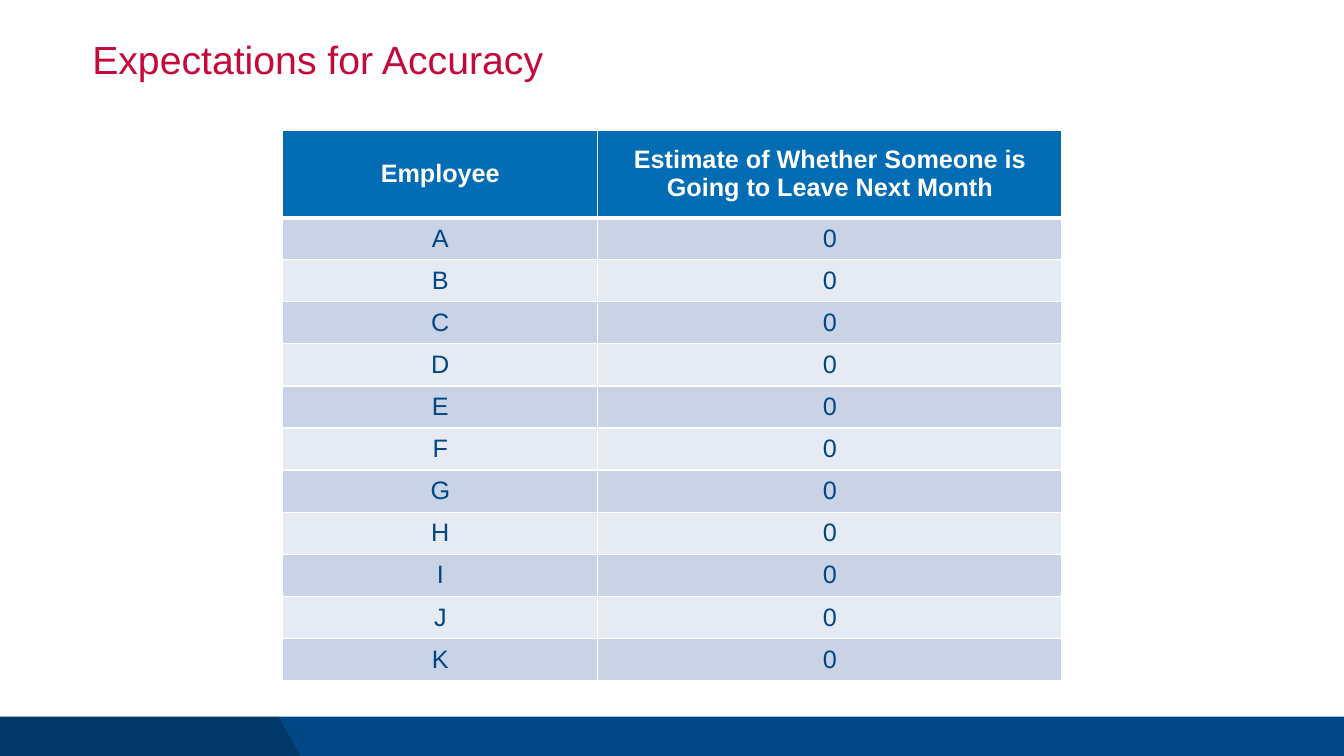
"""Build a slide with a table of monthly leaving estimates per employee."""
from lxml import etree
from pptx import Presentation
from pptx.dml.color import RGBColor
from pptx.enum.shapes import MSO_SHAPE
from pptx.enum.text import MSO_ANCHOR, PP_ALIGN
from pptx.oxml.ns import qn
from pptx.util import Cm, Pt

RECT = MSO_SHAPE.RECTANGLE
TOP, MIDDLE = MSO_ANCHOR.TOP, MSO_ANCHOR.MIDDLE
LEFT, CENTER = PP_ALIGN.LEFT, PP_ALIGN.CENTER
NAVY = RGBColor(0x00, 0x47, 0x85)
BLACK = RGBColor(0x00, 0x00, 0x00)
WHITE = RGBColor(0xFF, 0xFF, 0xFF)
RED = RGBColor(0xC5, 0x09, 0x3B)
BLUE = RGBColor(0x02, 0x6C, 0xB5)
DARK = RGBColor(0xCA, 0xD3, 0xE5)
LIGHT = RGBColor(0xE6, 0xEA, 0xF2)

TITLE = {"name": "Arial", "size": Pt(56), "bold": False}
HEAD = {"name": "Arial", "size": Pt(36), "bold": True}
BODY = {"name": "Arial", "size": Pt(36), "bold": False}
INSETS = {"margin_left": 0, "margin_top": 0, "margin_right": 0, "margin_bottom": 0}


def write(frame, text, style, color, align):
    par = frame.paragraphs[0]
    par.alignment = align
    run = par.add_run()
    run.text = text
    for key, value in style.items():
        setattr(run.font, key, value)
    run.font.color.rgb = color
    return par


def border(cell, side, width):
    props = cell._tc.get_or_add_tcPr()
    line = etree.SubElement(props, qn(f"a:ln{side}"), w=str(Pt(width)))
    fill = etree.SubElement(line, qn("a:solidFill"))
    etree.SubElement(fill, qn("a:srgbClr"), val=str(WHITE))


deck = Presentation()
deck.slide_width, deck.slide_height = Cm(67.73), Cm(38.1)
slide = deck.slides.add_slide(deck.slide_layouts[6])
shapes = slide.shapes

foot, base = Cm(36.12), Cm(38.25)
band = shapes.add_shape(RECT, 0, foot, deck.slide_width, base - foot)
pen = shapes.build_freeform(0, foot)
pen.add_line_segments([(Cm(14.02), foot), (Cm(15.24), base), (0, base)])
wedge = pen.convert_to_shape()
for shape, color in ((band, NAVY), (wedge, BLACK)):
    shape.shadow.inherit = False
    shape.fill.solid()
    shape.fill.fore_color.rgb = color
    shape.line.fill.background()
shade = wedge._element.spPr.find(qn("a:solidFill"))[0]
etree.SubElement(shade, qn("a:alpha"), val="20000")

title = shapes.add_textbox(Cm(4.65), Cm(2.03), Cm(58.42), Cm(2.67)).text_frame
for key, value in {**INSETS, "word_wrap": True, "vertical_anchor": TOP}.items():
    setattr(title, key, value)
write(title, "Expectations for Accuracy", TITLE, RED, LEFT).line_spacing = 0.9

rows = [("Employee", "Estimate of Whether Someone is Going to Leave Next Month")]
rows += [(name, "0") for name in "ABCDEFGHIJK"]
widths = [Cm(15.88), Cm(23.39)]
heights = [Cm(4.39)] + [Cm(2.12)] * (len(rows) - 1)
table = shapes.add_table(
    len(rows), 2, Cm(14.25), Cm(6.58), sum(widths), sum(heights)
).table
table.horz_banding = False
for col, width in zip(table.columns, widths):
    col.width = width

for i, (row, height) in enumerate(zip(rows, heights)):
    table.rows[i].height = height
    style, ink = (HEAD, WHITE) if i == 0 else (BODY, NAVY)
    back = BLUE if i == 0 else DARK if i % 2 else LIGHT
    for j, text in enumerate(row):
        cell = table.cell(i, j)
        for key, value in {**INSETS, "vertical_anchor": MIDDLE}.items():
            setattr(cell, key, value)
        for side in "LRTB":
            border(cell, side, 6 if (i, side) in ((0, "B"), (1, "T")) else 2)
        cell.fill.solid()
        cell.fill.fore_color.rgb = back
        write(cell.text_frame, text, style, ink, CENTER)

deck.save("out.pptx")
